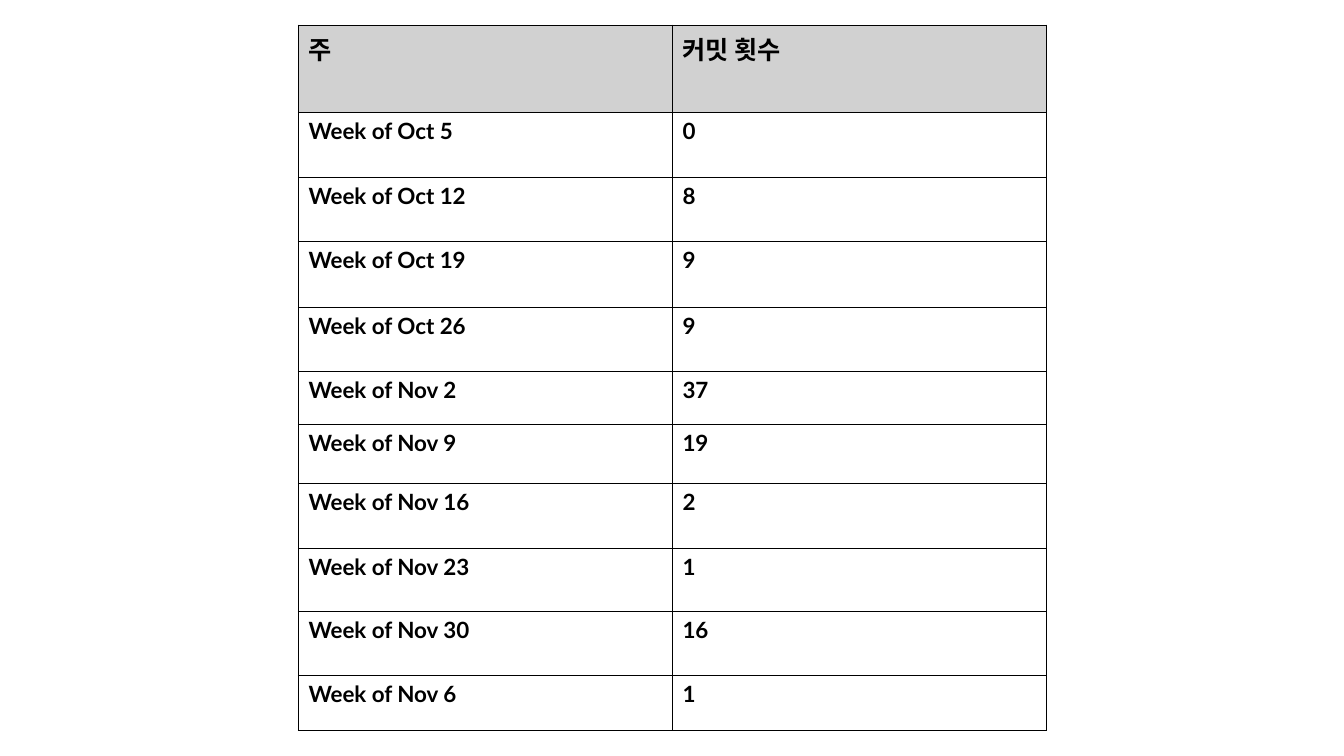
from lxml.etree import SubElement as Sub
from pptx import Presentation
from pptx.dml.color import RGBColor
from pptx.oxml.ns import qn
from pptx.util import Inches, Pt

BLACK = RGBColor(0x00, 0x00, 0x00)
WHITE = RGBColor(0xFF, 0xFF, 0xFF)
GRAY = RGBColor(0xD1, 0xD1, 0xD1)
FONT = "Lato"

# Each row: week, commit count, height in inches
ROWS = [
    ("주", "커밋 횟수", 0.87),
    ("Week of Oct 5", "0", 0.64),
    ("Week of Oct 12", "8", 0.64),
    ("Week of Oct 19", "9", 0.65),
    ("Week of Oct 26", "9", 0.64),
    ("Week of Nov 2", "37", 0.52),
    ("Week of Nov 9", "19", 0.59),
    ("Week of Nov 16", "2", 0.64),
    ("Week of Nov 23", "1", 0.63),
    ("Week of Nov 30", "16", 0.63),
    ("Week of Nov 6", "1", 0.55),
]


def add_borders(cell):
    props = cell._tc.get_or_add_tcPr()
    for side in ("a:lnL", "a:lnR", "a:lnT", "a:lnB"):
        line = Sub(props, qn(side), w=str(Pt(1)))
        fill = Sub(line, qn("a:solidFill"))
        Sub(fill, qn("a:srgbClr"), val=str(BLACK))


def fill_cell(cell, text, size, color):
    add_borders(cell)
    cell.fill.solid()
    cell.fill.fore_color.rgb = color
    run = cell.text_frame.paragraphs[0].add_run()
    run.text = text
    font = run.font
    font.name, font.size, font.bold = FONT, Pt(size), True
    font.color.rgb = BLACK


def add_commits(slide, left, top, width):
    """Table of commits per week."""
    height = sum(row[2] for row in ROWS)
    table = slide.shapes.add_table(
        len(ROWS), 2, Inches(left), Inches(top), Inches(width), Inches(height)
    ).table
    for col in table.columns:
        col.width = Inches(width / 2)
    for i, (week, count, high) in enumerate(ROWS):
        table.rows[i].height = Inches(high)
        # Header row is larger and shaded
        size, color = (16, WHITE) if i else (18, GRAY)
        for j, text in enumerate((week, count)):
            fill_cell(table.cell(i, j), text, size, color)


def main():
    prs = Presentation()
    prs.slide_width, prs.slide_height = Inches(13.33), Inches(7.5)
    slide = prs.slides.add_slide(prs.slide_layouts[6])
    add_commits(slide, 2.96, 0.25, 7.42)
    prs.save("out.pptx")


if __name__ == "__main__":
    main()
